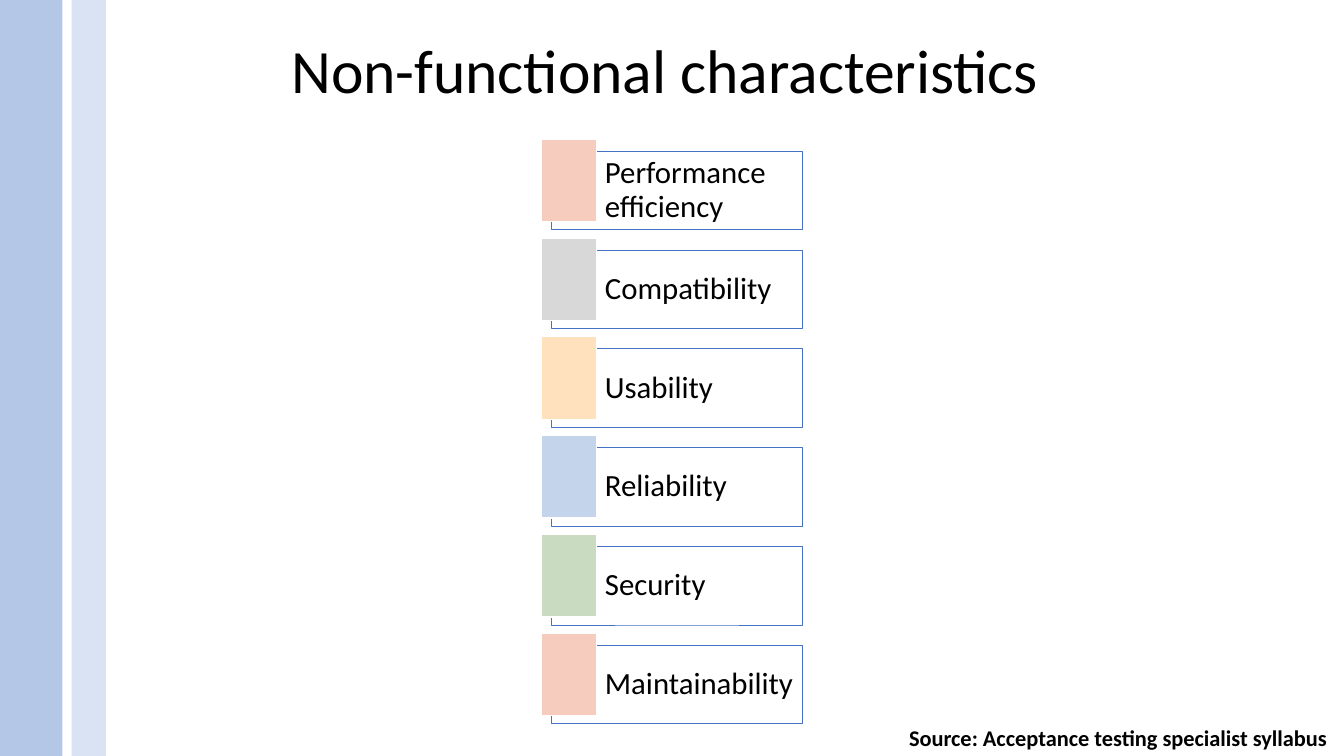
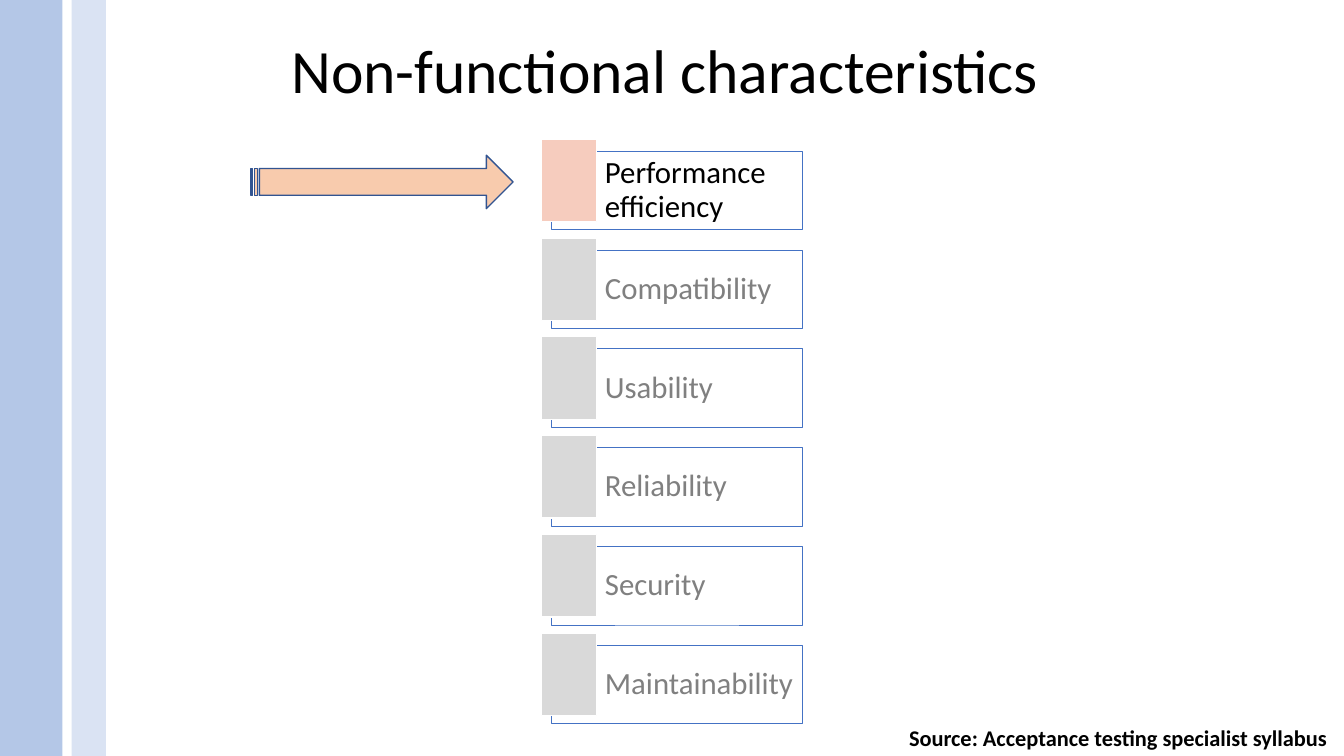
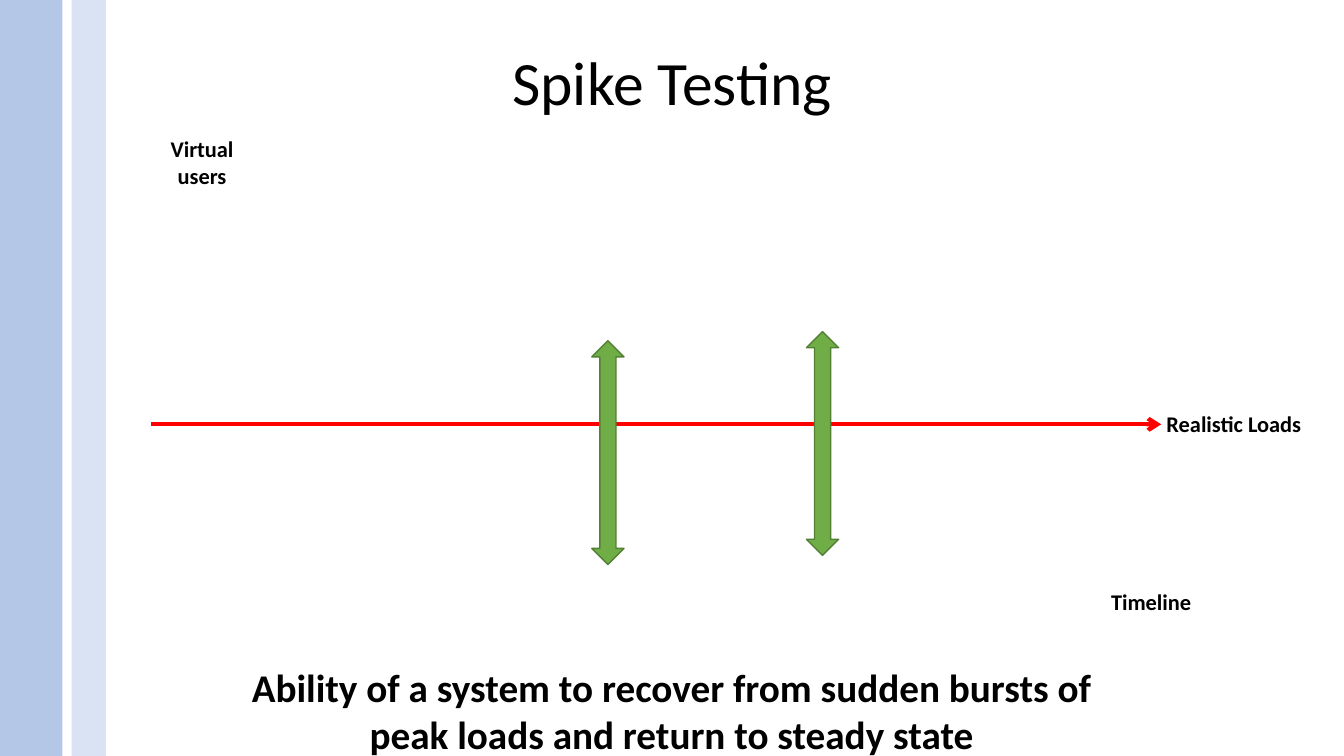
import lxml.etree
import pptx
import pptx.dml.color
import pptx.enum.shapes
import pptx.enum.text
import pptx.oxml.ns
import pptx.util

FONT = "Calibri"
BLACK, WHITE, GREY = "000000", "FFFFFF", "808080"
PRESET = pptx.enum.shapes.MSO_SHAPE
ALIGN = pptx.enum.text.PP_ALIGN
MIDDLE = pptx.enum.text.MSO_ANCHOR.MIDDLE
FIT = pptx.enum.text.MSO_AUTO_SIZE
rgb = pptx.dml.color.RGBColor.from_string
qn = pptx.oxml.ns.qn

deck = pptx.Presentation()
deck.slide_width = pptx.util.Inches(13.33)
deck.slide_height = pptx.util.Inches(7.5)
# The grid: 100 columns by 100 rows over the whole slide
COL, ROW = deck.slide_width / 100, deck.slide_height / 100


def draw(slide, preset, left, top, width, height, fill=None, line=None, weight=1):
    """Add a preset shape, or a growing text box when preset is None."""
    place = [int(v) for v in (left * COL, top * ROW, width * COL, height * ROW)]
    if preset is None:
        box = slide.shapes.add_textbox(*place)
        box.text_frame.word_wrap = True
        box.text_frame.auto_size = FIT.SHAPE_TO_FIT_TEXT
        return box
    shape = slide.shapes.add_shape(preset, *place)
    shape.shadow.inherit = False
    shape.fill.solid()
    shape.fill.fore_color.rgb = rgb(fill)
    if line:
        shape.line.color.rgb = rgb(line)
        shape.line.width = pptx.util.Pt(weight)
    else:
        shape.line.fill.background()
    return shape


def write(frame, runs, color=BLACK, bold=False, align=ALIGN.CENTER, spacing=None):
    """Fill the first paragraph with (text, size) runs."""
    paragraph = frame.paragraphs[0]
    paragraph.alignment = align
    paragraph.line_spacing = spacing
    for text, size in runs:
        run = paragraph.add_run()
        run.text = text
        run.font.name = FONT
        run.font.size = pptx.util.Pt(size)
        run.font.bold = bold
        run.font.color.rgb = rgb(color)


# Slides and their titles
layout = deck.slide_layouts.get_by_name("Title Only")
LIST_TITLE = ("Non-functional characteristics ", 0, 19.33)
for heading, top, height in (LIST_TITLE, LIST_TITLE, ("Spike Testing", 5.33, 11.87)):
    title = deck.slides.add_slide(layout).shapes.title
    title.left, title.width = int(6.9 * COL), int(86.25 * COL)
    title.top, title.height = int(top * ROW), int(height * ROW)
    title.text_frame.auto_size = FIT.NONE
    title.text_frame.vertical_anchor = MIDDLE
    write(title.text_frame, [(heading, 44)], spacing=0.9)
overview, performance, spike = deck.slides

# Side bands, moved to the layout that all slides use
for left, width, color in ((0, 4.65, "B4C7E7"), (5.33, 2.55, "DAE3F3")):
    band = draw(overview, PRESET.RECTANGLE, left, 0, width, 100, color)
    layout.shapes.element.append(band.element)

# Lists of characteristics: all in colour, then only the first
characteristics = (
    ([("Performance", 22), (" ", 16), ("efficiency", 22)], "F6CCBE"),
    ([("Compatibility", 22)], "D8D8D8"),
    ([("Usability", 22)], "FFE2BD"),
    ([("Reliability", 22)], "C4D5EB"),
    ([("Security", 22)], "C9DBC1"),
    ([("Maintainability", 22)], "F6CCBE"),
)
PITCH = 13.07
for slide, active_count in ((overview, len(characteristics)), (performance, 1)):
    for index, (label, tab_color) in enumerate(characteristics):
        active = index < active_count
        card = draw(slide, PRESET.RECTANGLE, 41.03, 20 + index * PITCH, 18.68, 10.4,
                    WHITE, "4472C4", 0.5)
        card_color = card.element.spPr.find(qn("a:solidFill"))[0]
        lxml.etree.SubElement(card_color, qn("a:alpha"), val="40000")
        card.text_frame.word_wrap = True
        card.text_frame.vertical_anchor = MIDDLE
        card.text_frame.margin_left = int(3.98 * COL)
        card.text_frame.margin_right = int(0.68 * COL)
        write(card.text_frame, label, BLACK if active else GREY,
              align=ALIGN.LEFT, spacing=0.9)
        draw(slide, PRESET.RECTANGLE, 40.28, 18.4 + index * PITCH, 4.13, 10.93,
             tab_color if active else "D9D9D9", WHITE)
    source = draw(slide, None, 66.9, 95.07, 37.35, 4.93)
    write(source.text_frame, [("Source: Acceptance testing specialist syllabus", 16)],
          bold=True, align=ALIGN.LEFT)

# Pointer to the current characteristic
draw(performance, PRESET.STRIPED_RIGHT_ARROW, 18.68, 20.53, 19.5, 7.07, "F8CBAD", "325491")

# Spike testing: load line
load_row = int(56.13 * ROW)
load_line = spike.shapes.add_connector(
    pptx.enum.shapes.MSO_CONNECTOR.STRAIGHT,
    int(11.25 * COL), load_row, int(86.4 * COL), load_row)
load_line.line.color.rgb = rgb("FF0000")
load_line.line.width = pptx.util.Pt(3)
load_format = load_line.element.spPr
lxml.etree.SubElement(load_format.find(qn("a:ln")), qn("a:tailEnd"), type="arrow")
lxml.etree.SubElement(load_format, qn("a:effectLst"))

# Spike testing: axis labels and definition
for text, size, *place in (
    ("Virtual users", 16, 11.25, 17.2, 7.58, 8.53),
    ("Timeline", 16, 81.45, 77.2, 8.4, 4.93),
    ("Realistic Loads", 16, 85.65, 53.6, 12.3, 4.93),
    ("Ability of a system to recover from sudden bursts of peak loads"
     " and return to steady state", 28, 17.1, 87.07, 65.7, 13.87),
):
    write(draw(spike, None, *place).text_frame, [(text, size)], bold=True)

# Spike testing: the two bursts
for left, top in ((44.03, 45.07), (60, 43.87)):
    draw(spike, PRESET.UP_DOWN_ARROW, left, top, 2.4, 29.6, "70AD47", "538035")

deck.save("out.pptx")
